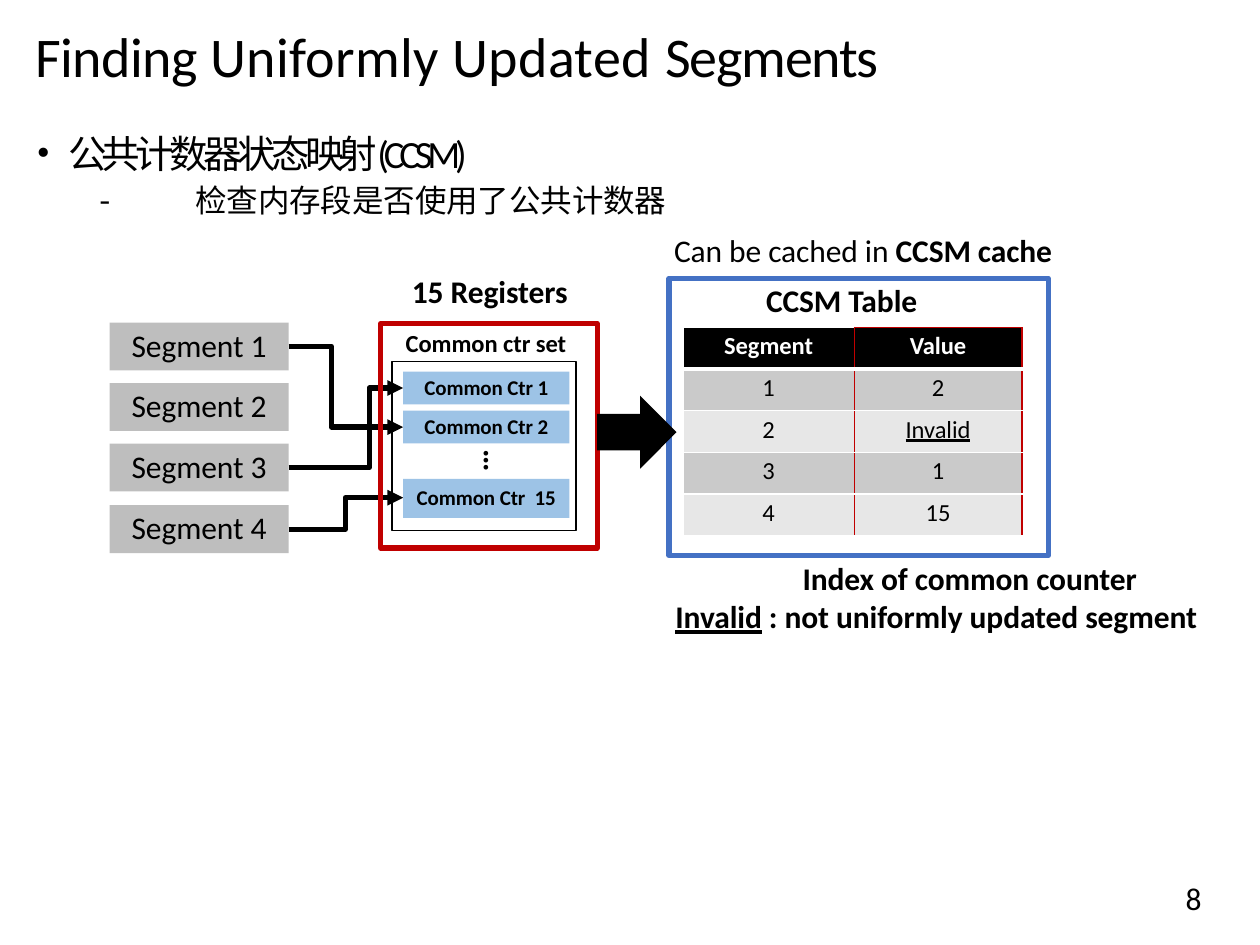
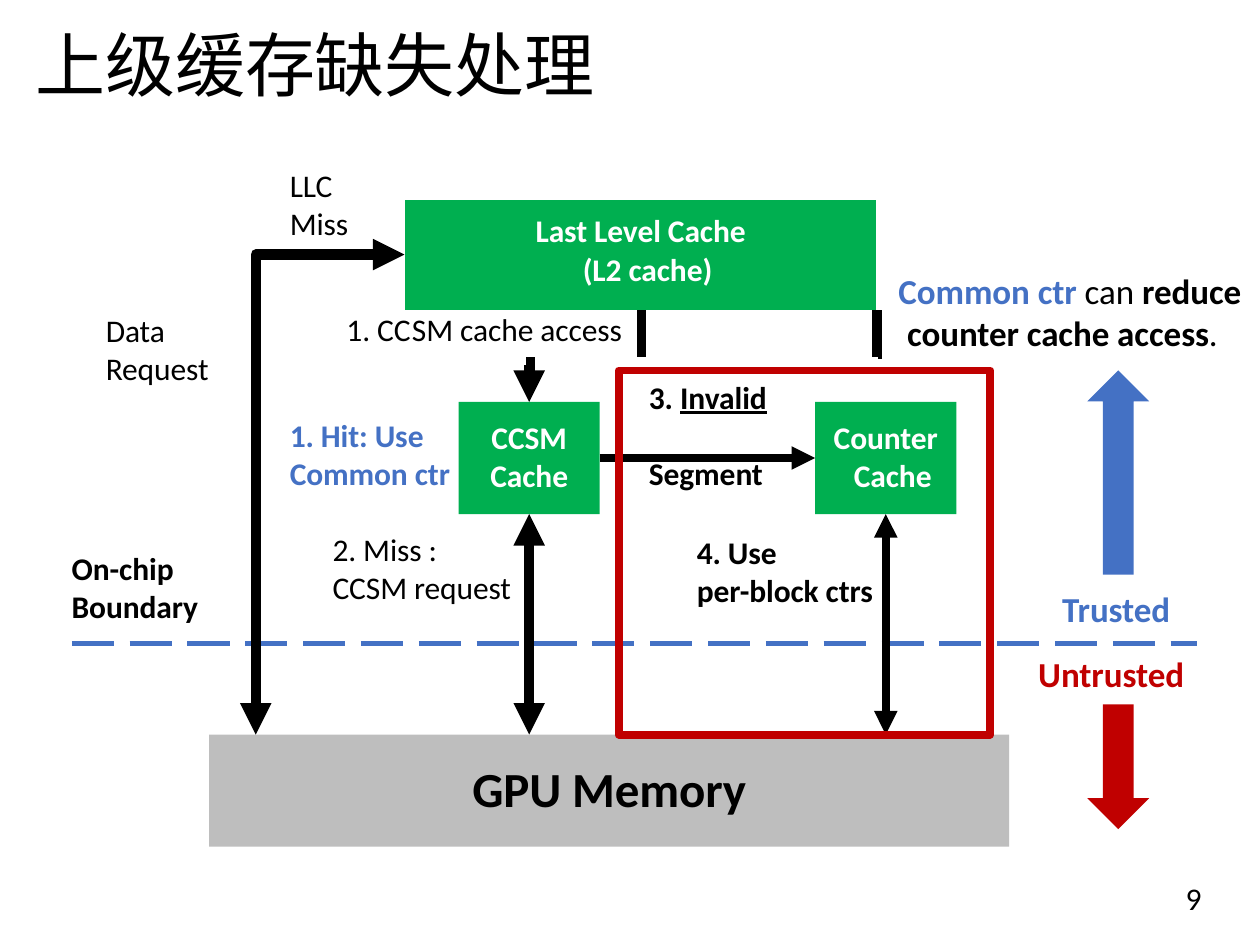
from dataclasses import dataclass
from typing import NamedTuple

from lxml.etree import SubElement
from pptx import Presentation
from pptx.dml.color import RGBColor
from pptx.enum.dml import MSO_LINE
from pptx.enum.shapes import MSO_CONNECTOR, MSO_SHAPE
from pptx.enum.text import MSO_ANCHOR, MSO_AUTO_SIZE, PP_ALIGN
from pptx.oxml.ns import qn
from pptx.util import Emu, Pt

PX = 9144  # EMU in one px, 100 px to the inch
BLACK, WHITE, GREY = "000000", "FFFFFF", "BEBEBE"
BLUE, RED, GREEN, SKY = "4471C4", "C00000", "00AF50", "9DC3E6"
LATIN, CJK, SERIF = "Calibri", "Noto Sans CJK SC", "Times New Roman"


class Box(NamedTuple):
    x: int
    y: int
    w: int
    h: int


@dataclass(frozen=True)
class Run:
    text: str
    bold: bool = False
    color: str = BLACK
    underline: bool = False
    font: str = LATIN
    spacing: float = -0.05


class Line(NamedTuple):
    runs: list[Run]
    indent: int = 0


@dataclass(frozen=True)
class Label:
    box: Box
    lines: list[Line]
    size: int = 18
    vertical: bool = False


def emu(*values: int) -> list[Emu]:
    return [Emu(v * PX) for v in values]


def rgb(color: str) -> RGBColor:
    return RGBColor.from_string(color)


def plain(text: str, bold: bool = False, color: str = BLACK) -> list[Line]:
    """One line per text row, all in one style."""
    return [Line([Run(row, bold, color)]) for row in text.split("\n")]


# ---- Text ----
def write(tf, lines: list[Line], size: int, align=PP_ALIGN.LEFT) -> None:
    for i, line in enumerate(lines):
        p = tf.add_paragraph() if i else tf.paragraphs[0]
        p.alignment, p.space_before = align, Pt(0)
        if line.indent:
            p._p.get_or_add_pPr().set("marL", str(line.indent * PX))
        for run in line.runs:
            r = p.add_run()
            r.text = run.text
            r.font.name, r.font.size, r.font.bold = run.font, Pt(size), run.bold
            r.font.underline = run.underline
            r.font.color.rgb = rgb(run.color)
            rPr = r._r.get_or_add_rPr()
            rPr.set("spc", str(round(run.spacing * 100)))
            if run.font == CJK:
                SubElement(rPr, qn("a:ea")).set("typeface", CJK)


def prepare(tf, left: int = 0, top: int = 0, bottom: int = 0, anchor=MSO_ANCHOR.TOP) -> None:
    tf.word_wrap = True
    tf.auto_size = MSO_AUTO_SIZE.NONE
    tf.vertical_anchor = anchor
    tf.margin_left, tf.margin_top, tf.margin_right, tf.margin_bottom = emu(left, top, 0, bottom)


def add_label(s, label: Label) -> None:
    tf = s.shapes.add_textbox(*emu(*label.box)).text_frame
    prepare(tf, left=1, top=0 if label.vertical else 1)
    write(tf, label.lines, label.size)
    if label.vertical:
        tf._txBody.bodyPr.set("vert", "vert")
        tf.paragraphs[0].line_spacing = Pt(label.size)


def place(sp, box: Box) -> None:
    sp.left, sp.top, sp.width, sp.height = emu(*box)


def add_slide(prs, layout: int, title: list[Run], size: int, number: int):
    """Slide with the shared title style and page number."""
    s = prs.slides.add_slide(prs.slide_layouts[layout])
    place(s.shapes.title, Box(27, 16, 894, 69))
    prepare(s.shapes.title.text_frame, left=1, top=1)
    write(s.shapes.title.text_frame, [Line(title)], size)
    add_label(s, Label(Box(940, 697, 34, 34), plain(str(number))))
    return s


def add_bullet(p, char: str, hang: int) -> None:
    pPr = p._p.get_or_add_pPr()
    pPr.set("indent", str(-hang * PX))
    SubElement(pPr, qn("a:buFont")).set("typeface", SERIF)
    SubElement(pPr, qn("a:buChar")).set("char", char)


# ---- Shapes and lines ----
def add_block(s, box: Box, fill: str, lines: list[Line] = (), size: int = 18,
              kind=MSO_SHAPE.RECTANGLE):
    sp = s.shapes.add_shape(kind, *emu(*box))
    sp.shadow.inherit = False
    sp.fill.solid()
    sp.fill.fore_color.rgb = rgb(fill)
    sp.line.fill.background()
    prepare(sp.text_frame, bottom=size // 5, anchor=MSO_ANCHOR.MIDDLE)
    write(sp.text_frame, lines, size, PP_ALIGN.CENTER)
    return sp


def style_line(sp, color: str, width: float, heads: str = "") -> None:
    """heads names the ends that carry an arrow: "head", "tail" or both."""
    sp.line.color.rgb = rgb(color)
    sp.line.width = Pt(width)
    for end in heads.split():
        SubElement(sp.line._get_or_add_ln(), qn(f"a:{end}End")).set("type", "triangle")


def add_frame(s, box: Box, color: str, width: float) -> None:
    sp = s.shapes.add_shape(MSO_SHAPE.RECTANGLE, *emu(*box))
    sp.shadow.inherit = False
    sp.fill.background()
    style_line(sp, color, width)


def add_bent_arrow(s, points: list[tuple[int, int]], width: float, heads: str) -> None:
    builder = s.shapes.build_freeform(*points[0], scale=PX)
    builder.add_line_segments(points[1:], close=False)
    sp = builder.convert_to_shape()
    sp.shadow.inherit = False
    sp.fill.background()
    style_line(sp, BLACK, width, heads)


def add_straight(s, ends: tuple[int, int, int, int], width: float, heads: str = "",
                 color: str = BLACK):
    c = s.shapes.add_connector(MSO_CONNECTOR.STRAIGHT, *emu(*ends))
    style_line(c, color, width, heads)
    SubElement(c._element.spPr, qn("a:effectLst"))
    return c


# ---- Tables ----
def add_table(s, box: Box, widths: list[int], heights: list[int]):
    table = s.shapes.add_table(len(heights), len(widths), *emu(*box)).table
    table.horz_banding = False
    for column, width in zip(table.columns, emu(*widths)):
        column.width = width
    for row, height in zip(table.rows, emu(*heights)):
        row.height = height
    return table


def style_cell(cell, fill: str = "", **borders: tuple[str, int]) -> None:
    """Borders are given by side, in the order L, R, T, B."""
    cell.margin_left = cell.margin_right = cell.margin_top = cell.margin_bottom = 0
    for side, (color, width) in borders.items():
        ln = SubElement(cell._tc.get_or_add_tcPr(), qn(f"a:ln{side}"))
        ln.set("w", str(Pt(width)))
        SubElement(SubElement(ln, qn("a:solidFill")), qn("a:srgbClr")).set("val", color)
    if fill:
        cell.fill.solid()
        cell.fill.fore_color.rgb = rgb(fill)
    else:
        cell.fill.background()


def add_ccsm_table(s) -> None:
    rows = [("Segment", "Value"), ("1", "2"), ("2", "Invalid"), ("3", "1"), ("4", "15")]
    table = add_table(s, Box(542, 260, 269, 165), [136, 133], [33] * len(rows))
    for i, row in enumerate(rows):
        for j, text in enumerate(row):
            cell, header = table.cell(i, j), i == 0
            style_cell(cell, BLACK if header else "CACACA" if i % 2 else "E7E7E7",
                       L=(RED if j else WHITE, 1), R=(RED, 1),
                       T=(RED if header and j else WHITE, 3 if i == 1 else 1),
                       B=(WHITE, 3 if header else 1))
            cell.vertical_anchor, cell.margin_bottom = MSO_ANCHOR.MIDDLE, Emu(3 * PX)
            run = Run(text, header, WHITE if header else BLACK, text == "Invalid")
            write(cell.text_frame, [Line([run])], 14, PP_ALIGN.CENTER)


def add_cache_table(s) -> None:
    """Last level cache with the lines that leave it, drawn as cell borders."""
    table = add_table(s, Box(321, 158, 375, 142), [100, 88, 187], [89, 37, 16])
    thick = (BLACK, 6)
    borders = {(1, 1): {"R": thick}, (1, 2): {"L": thick, "R": thick},
               (2, 0): {"R": thick}, (2, 1): {"L": thick}}
    for i in range(3):
        for j in range(3):
            cell = table.cell(i, j)
            style_cell(cell, "" if i else GREEN, **borders.get((i, j), {}))
            if (i, j) not in ((0, 0), (1, 0)):
                SubElement(cell.text_frame.paragraphs[0]._p, qn("a:endParaRPr")).set("sz", "800")
    for first, last in (((0, 0), (0, 2)), ((1, 0), (1, 1)), ((2, 1), (2, 2))):
        table.cell(*first).merge(table.cell(*last))
    cache = table.cell(0, 0)
    cache.vertical_anchor, cache.margin_bottom = MSO_ANCHOR.MIDDLE, Emu(6 * PX)
    write(cache.text_frame, [Line([Run("Last Level Cache", True, WHITE)]),
                             Line([Run("(L2 cache)", True, WHITE)], 11)], 18, PP_ALIGN.CENTER)
    write(table.cell(1, 0).text_frame, [Line([Run("SM cache access")], 6)], 18)


# ---- Slides ----
def segments_slide(prs) -> None:
    title = [Run("Finding ", spacing=-0.3), Run("Uniformly Updated ", spacing=0.2),
             Run("Segments", spacing=-0.7)]
    s = add_slide(prs, 1, title, 32, 8)
    body = s.placeholders[1]
    place(body, Box(27, 97, 812, 86))
    prepare(body.text_frame, left=1, top=6)
    write(body.text_frame, [Line([Run("公共计数器状态映射", font=CJK, spacing=-2.6),
                                  Run("(CCSM)", spacing=-2.9)], 26)], 22)
    detail = body.text_frame.add_paragraph()
    write_to = [Line([Run("检查内存段是否使用了公共计数器", font=CJK)], 127)]
    write(ParagraphFrame([detail]), write_to, 18)
    detail.space_before = Pt(3)
    for p, char, hang in zip(body.text_frame.paragraphs, "•-", (25, 76)):
        add_bullet(p, char, hang)

    # Segments and the counters they point to
    mids = []
    for i in range(4):
        box = Box(87, 256 + 145 * i // 3, 142, 38)
        add_block(s, box, GREY, plain(f"Segment {i + 1}"))
        mids.append(box.y + box.h // 2)
    counters = {"1": Box(320, 295, 132, 26), "2": Box(320, 326, 132, 26),
                " 15": Box(320, 380, 132, 31)}
    for start, counter, bend in ((mids[0], "2", 263), (mids[2], "1", 293), (mids[3], " 15", 274)):
        x, y, _, h = counters[counter]
        end = y + h // 2
        add_bent_arrow(s, [(229, start), (bend, start), (bend, end), (x, end)], 3, "tail")
    for name, box in counters.items():
        add_block(s, box, SKY, plain(f"Common Ctr {name}", bold=True), 12)

    # Table and frames
    add_ccsm_table(s)
    add_frame(s, Box(311, 287, 146, 134), BLACK, 1)
    add_frame(s, Box(302, 257, 172, 178), RED, 3)
    add_frame(s, Box(531, 221, 301, 220), BLUE, 3)
    add_block(s, Box(474, 314, 63, 58), BLACK, kind=MSO_SHAPE.RIGHT_ARROW)
    for label in (
        Label(Box(607, 222, 126, 33), plain("CCSM Table", True)),
        Label(Box(321, 259, 135, 26), plain("Common ctr set", True), 14),
        Label(Box(326, 215, 130, 33), plain("15 Registers", True)),
        Label(Box(376, 357, 28, 21), plain("…", True), vertical=True),
        Label(Box(534, 182, 310, 33), [Line([Run("Can be cached in "), Run("CCSM cache", True)])]),
        Label(Box(535, 443, 425, 63), [
            Line([Run("Index of common counter", True)], 101),
            Line([Run("Invalid", True, underline=True),
                  Run(" : not uniformly updated segment", True)])]),
    ):
        add_label(s, label)


class ParagraphFrame(NamedTuple):
    """Lets write() fill one paragraph that is already there."""
    paragraphs: list


def cache_miss_slide(prs) -> None:
    s = add_slide(prs, 5, [Run("上级缓存缺失处理", font=CJK, spacing=0)], 40, 9)

    # Caches and memory
    add_cache_table(s)
    ccsm = add_block(s, Box(364, 319, 112, 89), GREEN, plain("CCSM\nCache", True, WHITE))
    counter = add_block(s, Box(647, 319, 112, 89), GREEN, [
        Line([Run("Counter", True, WHITE)]), Line([Run("Cache", True, WHITE)], 11)])
    add_block(s, Box(166, 583, 635, 89), GREY, plain("GPU Memory", True), 28)

    # Boundary and data paths
    boundary = add_straight(s, (57, 511, 950, 511), 3, color=BLUE)
    boundary.line.dash_style = MSO_LINE.LONG_DASH
    add_bent_arrow(s, [(321, 202), (203, 202), (203, 583)], 6, "head tail")
    add_straight(s, (420, 290, 420, 319), 6, "tail").end_connect(ccsm, 0)
    add_straight(s, (420, 408, 420, 583), 6, "head tail").begin_connect(ccsm, 2)
    add_straight(s, (703, 408, 703, 583), 4.5, "head tail").begin_connect(counter, 2)
    lookup = add_straight(s, (476, 364, 647, 364), 4.5, "tail")
    lookup.begin_connect(ccsm, 3)
    lookup.end_connect(counter, 1)
    add_frame(s, Box(491, 294, 295, 289), RED, 4.5)

    # Trust arrows and labels
    add_block(s, Box(863, 559, 49, 99), RED, kind=MSO_SHAPE.DOWN_ARROW)
    add_block(s, Box(863, 294, 49, 162), BLUE, kind=MSO_SHAPE.UP_ARROW)
    for label in (
        Label(Box(56, 435, 110, 63), plain("On-chip\nBoundary", True)),
        Label(Box(842, 465, 95, 36), plain("Trusted", True, BLUE), 20),
        Label(Box(823, 517, 125, 36), plain("Untrusted", True, RED), 20),
        Label(Box(83, 246, 90, 63), plain("Data\nRequest")),
        Label(Box(274, 245, 54, 33), plain("1. CC")),
        Label(Box(263, 420, 150, 63), plain("2. Miss :\nCCSM request")),
        Label(Box(514, 299, 105, 33),
              [Line([Run("3. ", True), Run("Invalid", True, underline=True)])]),
        Label(Box(514, 359, 97, 33), plain("Segment", True)),
        Label(Box(229, 329, 134, 63), plain("1. Hit: Use\nCommon ctr", True, BLUE)),
        Label(Box(712, 213, 285, 70), [
            Line([Run("Common ctr ", True, BLUE), Run("can "), Run("reduce", True)]),
            Line([Run("counter cache access", True), Run(".")], 7)], 20),
        Label(Box(552, 422, 148, 63), plain("4. Use\nper-block ctrs", True)),
        Label(Box(229, 131, 56, 63), plain("LLC\nMiss")),
    ):
        add_label(s, label)


def main() -> None:
    prs = Presentation()
    prs.slide_width, prs.slide_height = emu(1000, 750)
    segments_slide(prs)
    cache_miss_slide(prs)
    prs.save("out.pptx")


if __name__ == "__main__":
    main()
